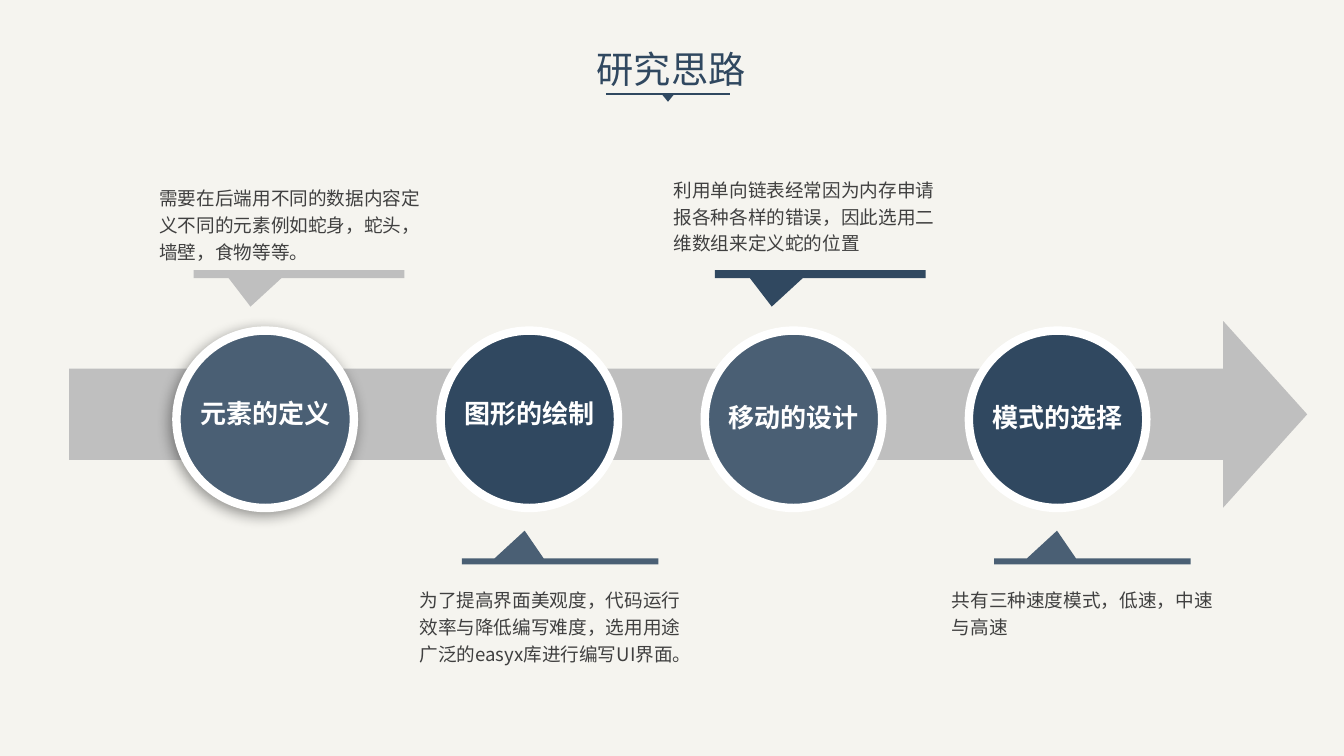
import pptx
import pptx.util
import pptx.dml.color
import pptx.enum.shapes
import pptx.enum.text
import pptx.oxml
import pptx.oxml.ns
from lxml import etree

Inches = pptx.util.Inches
Pt = pptx.util.Pt
SHAPE = pptx.enum.shapes.MSO_SHAPE
ALIGN = pptx.enum.text.PP_ALIGN
FONT = "Noto Sans CJK SC"
COLORS = {
    "background": "F5F4EF", "navy": "304860", "slate": "4A5F74",
    "gray": "BFBFBF", "white": "FFFFFF", "body": "404040",
}
TITLE = "研究思路"
STEPS = [
    {"label": "元素的定义", "label_top": 3.89, "color": "slate", "shadow": True,
     "note": "需要在后端用不同的数据内容定义不同的元素例如蛇身，蛇头，墙壁，食物等等。",
     "note_at": (1.46, 1.75), "bar": "above", "bar_left": 1.92, "bar_color": "gray"},
    {"label": "图形的绘制", "label_top": 3.89, "color": "navy", "shadow": False,
     "note": "为了提高界面美观度，代码运行效率与降低编写难度，选用用途广泛的easyx库进行编写UI界面。",
     "note_at": (4.04, 5.74), "bar": "below", "bar_left": 4.58, "bar_color": "slate"},
    {"label": "移动的设计", "label_top": 3.93, "color": "slate", "shadow": False,
     "note": "利用单向链表经常因为内存申请报各种各样的错误，因此选用二维数组来定义蛇的位置",
     "note_at": (6.56, 1.67), "bar": "above", "bar_left": 7.09, "bar_color": "navy"},
    {"label": "模式的选择", "label_top": 3.93, "color": "navy", "shadow": False,
     "note": "共有三种速度模式，低速，中速与高速",
     "note_at": (9.32, 5.74), "bar": "below", "bar_left": 9.86, "bar_color": "slate"},
]
BARS = {
    "above": {"top": 2.68, "size": (2.09, 0.08), "pointer": (-0.23, 4.03)},
    "below": {"top": 5.54, "size": (1.95, 0.06), "pointer": (-0.18, -5.1)},
}
CIRCLE_LEFT, CIRCLE_TOP, CIRCLE_SIZE, CIRCLE_STEP = 1.75, 3.28, 1.76, 2.62
LABEL_WIDTH = 2.25


def rgb(name):
    return pptx.dml.color.RGBColor.from_string(COLORS[name])


def add_text(slide, text, left, top, width, height, size=13.3, color="body",
             bold=False, align=None, spacing=None, insets=(0.1, 0.05), wrap=True):
    box = slide.shapes.add_textbox(Inches(left), Inches(top), Inches(width), Inches(height))
    frame = box.text_frame
    frame.word_wrap = wrap
    frame.margin_left = frame.margin_right = Inches(insets[0])
    frame.margin_top = frame.margin_bottom = Inches(insets[1])
    paragraph = frame.paragraphs[0]
    paragraph.alignment = align
    paragraph.line_spacing = spacing
    run = paragraph.add_run()
    run.text = text
    run.font.size = Pt(size)
    run.font.bold = bold
    run.font.name = FONT
    run.font.color.rgb = rgb(color)
    east_asian = etree.SubElement(run.font._element, pptx.oxml.ns.qn("a:ea"))
    east_asian.set("typeface", FONT)


def add_shape(slide, kind, left, top, width, height, fill, adjustments=(), rotation=0):
    shape = slide.shapes.add_shape(kind, Inches(left), Inches(top), Inches(width), Inches(height))
    shape.shadow.inherit = False
    shape.fill.solid()
    shape.fill.fore_color.rgb = rgb(fill)
    shape.line.fill.background()
    shape.rotation = rotation
    for index, value in enumerate(adjustments):
        shape.adjustments[index] = value
    return shape


def add_outer_shadow(shape):
    effects = shape._element.spPr.find(pptx.oxml.ns.qn("a:effectLst"))
    effects.append(pptx.oxml.parse_xml(
        f'<a:outerShdw {pptx.oxml.ns.nsdecls("a")} blurRad="{Pt(10)}" dist="{Pt(3)}" '
        f'dir="{135 * 60000}" algn="tr" rotWithShape="0">'
        '<a:srgbClr val="000000"><a:alpha val="40000"/></a:srgbClr></a:outerShdw>'))


def add_title(slide):
    rule = slide.shapes.add_connector(
        pptx.enum.shapes.MSO_CONNECTOR.STRAIGHT,
        Inches(6.01), Inches(0.93), Inches(7.24), Inches(0.93))
    rule.line.color.rgb = rgb("navy")
    rule.line.width = Pt(1.5)
    etree.SubElement(rule._element.spPr, pptx.oxml.ns.qn("a:effectLst"))
    add_shape(slide, SHAPE.ISOSCELES_TRIANGLE, 6.56, 0.93, 0.13, 0.08, "navy", rotation=180)
    add_text(slide, TITLE, 5.82, 0.41, 1.7, 0.55, size=26.6, color="navy", wrap=False)


def add_step(slide, index, step):
    left = CIRCLE_LEFT + index * CIRCLE_STEP
    circle = add_shape(slide, SHAPE.OVAL, left, CIRCLE_TOP, CIRCLE_SIZE, CIRCLE_SIZE, step["color"])
    circle.line.color.rgb = rgb("white")
    circle.line.width = Pt(6)
    if step["shadow"]:
        add_outer_shadow(circle)
    add_text(slide, step["label"], left + (CIRCLE_SIZE - LABEL_WIDTH) / 2, step["label_top"],
             LABEL_WIDTH, 0.45, size=18.6, color="white", bold=True, align=ALIGN.CENTER)
    bar = BARS[step["bar"]]
    add_shape(slide, SHAPE.RECTANGULAR_CALLOUT, step["bar_left"], bar["top"], *bar["size"],
              step["bar_color"], adjustments=bar["pointer"])
    add_text(slide, step["note"], *step["note_at"], 3.01, 0.93,
             spacing=1.2, insets=(0.12, 0.06))


def main():
    presentation = pptx.Presentation()
    presentation.slide_width = Inches(13.33)
    presentation.slide_height = Inches(7.5)
    slide = presentation.slides.add_slide(presentation.slide_layouts[6])
    slide.background.fill.solid()
    slide.background.fill.fore_color.rgb = rgb("background")
    add_title(slide)
    add_shape(slide, SHAPE.DOWN_ARROW, 5.9, -2.03, 1.85, 12.28, "gray",
              adjustments=(0.49, 0.45), rotation=270)
    for index, step in enumerate(STEPS):
        add_step(slide, index, step)
    presentation.save("out.pptx")


if __name__ == "__main__":
    main()
